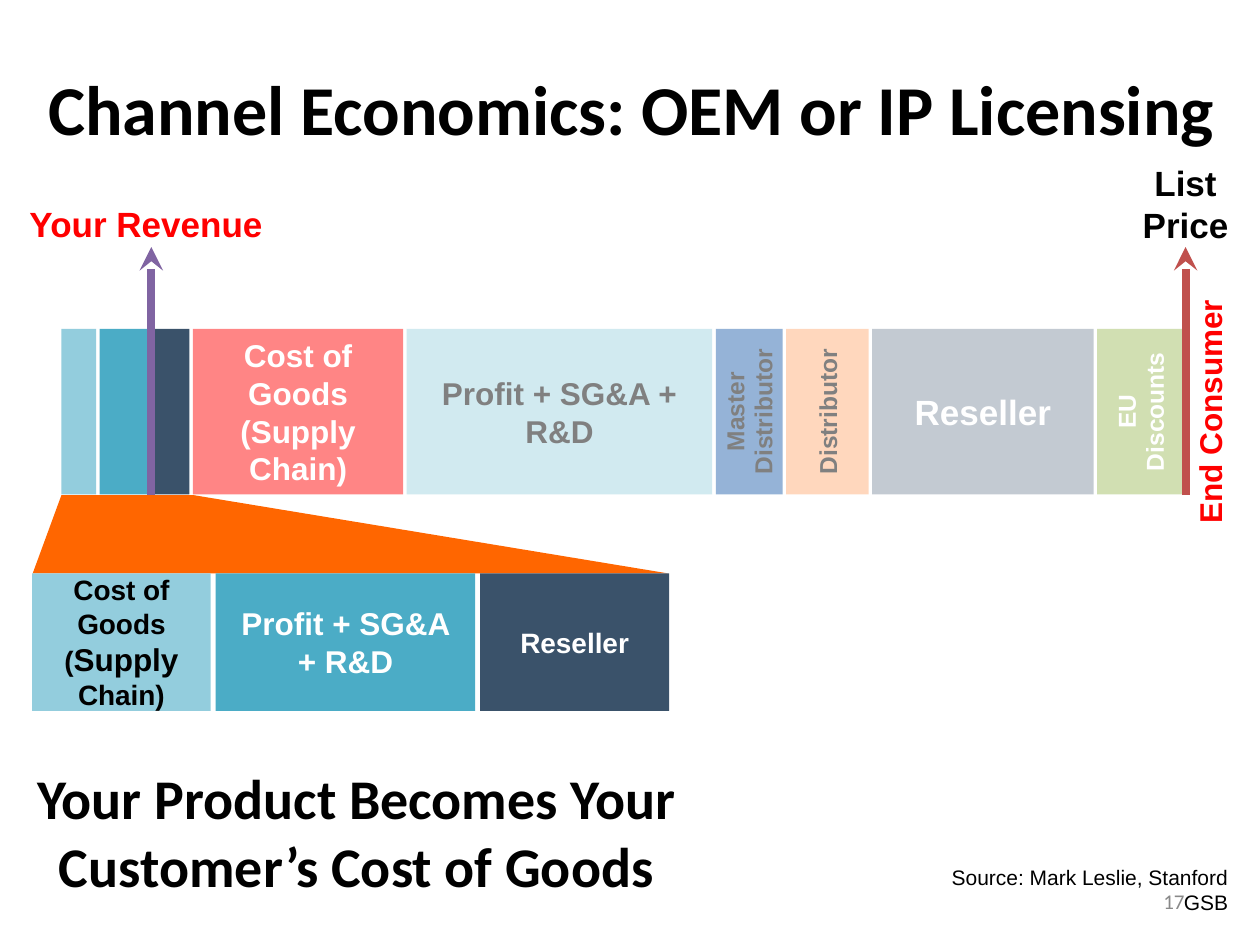
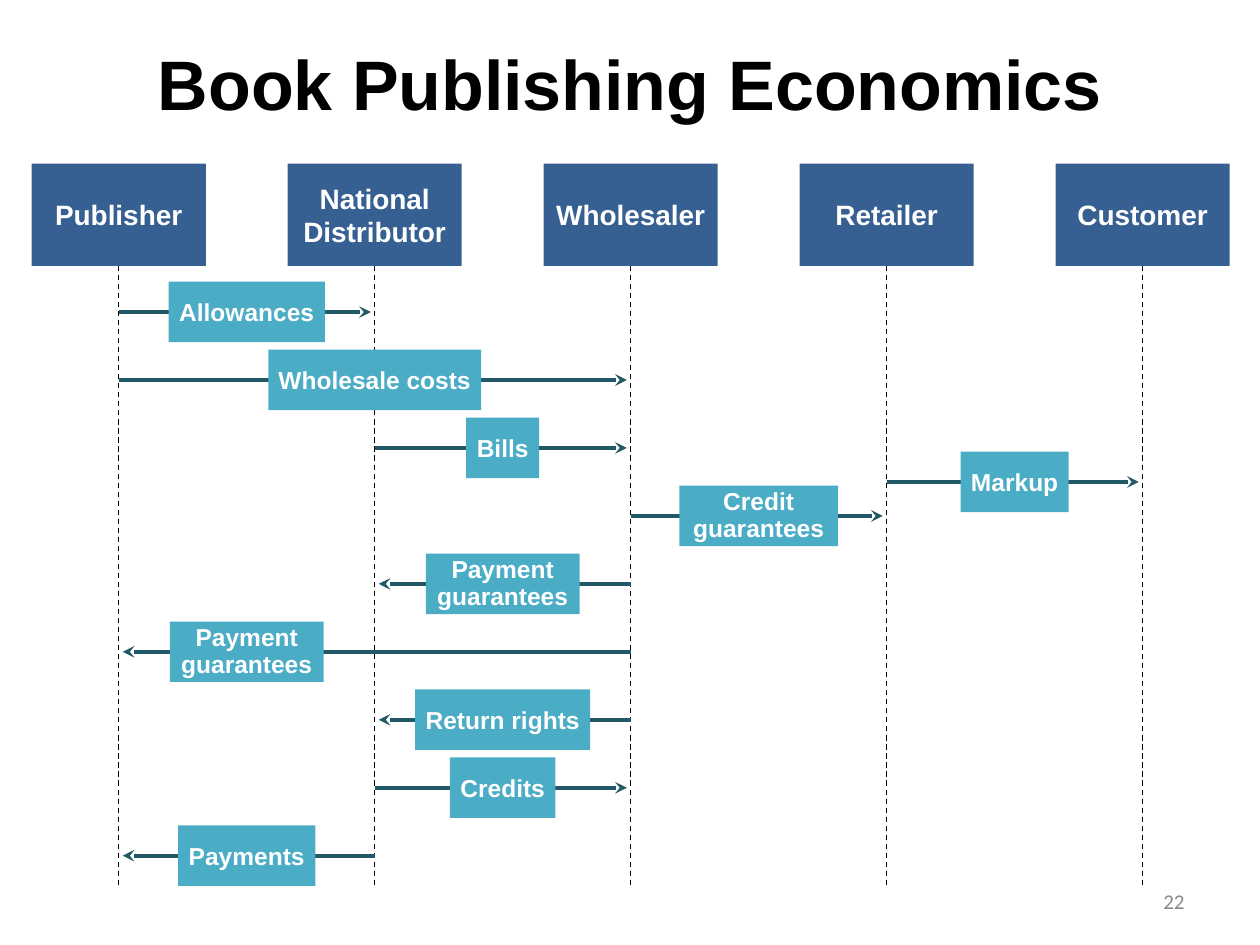
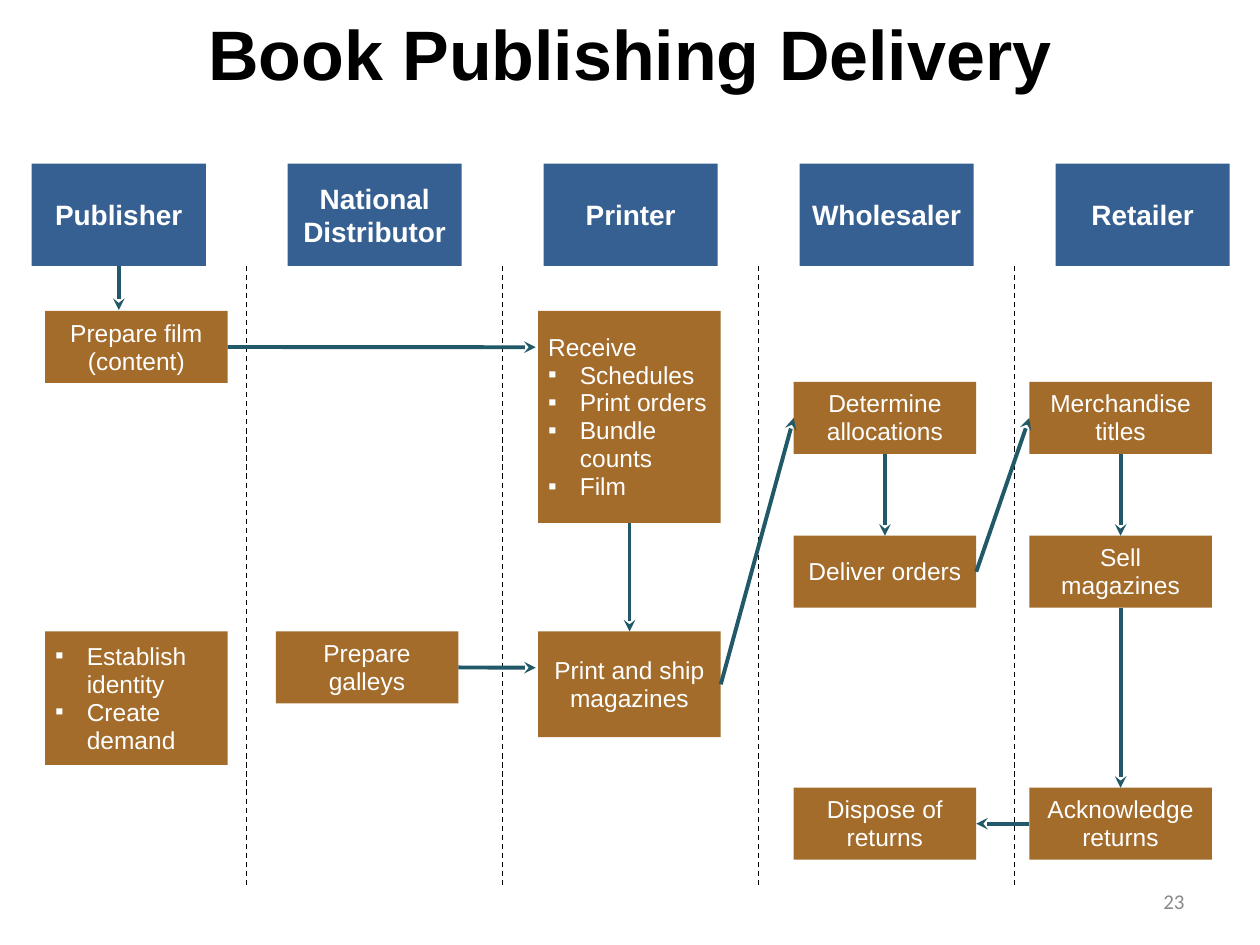
from lxml.etree import SubElement
from pptx import Presentation
from pptx.dml.color import RGBColor
from pptx.enum.dml import MSO_LINE
from pptx.enum.shapes import MSO_CONNECTOR, MSO_SHAPE
from pptx.enum.text import MSO_ANCHOR, PP_ALIGN
from pptx.oxml.ns import qn
from pptx.util import Cm, Pt

COLORS = {
    "black": "000000", "white": "FFFFFF", "red": "FF0000", "orange": "FF6600",
    "grey": "808080", "page": "898989", "navy": "3A526A", "teal": "4BACC6",
    "sky": "93CDDD", "steel": "95B3D7", "green": "9BBB59", "purple": "8064A2",
    "brick": "C0504D", "header": "376092", "arrow": "215968", "task": "A36C2B",
}
TOP, LEFT, BOTTOM, RIGHT = range(4)  # connection sites of a rectangle
NO_INSET = (0, 0, 0, 0)
WIDE_INSET = (0.25, 0.13, 0.25, 0.13)
BOX_INSET = (0.2, 0.13, 0.2, 0.13)

# Swimlane grid, in cm
LANE_LEFT, LANE_STEP, LANE_BOTTOM = 0.64, 5.16, 17.91
HEADER_TOP, HEADER_WIDTH, HEADER_HEIGHT = 3.3, 3.51, 2.06
HEADER_BOTTOM = HEADER_TOP + HEADER_HEIGHT


def rgb(name):
    return RGBColor.from_string(COLORS[name])


def lane_center(lane):
    return LANE_LEFT + HEADER_WIDTH / 2 + LANE_STEP * lane


def add_bullet(paragraph, char):
    """Hanging indent, with a bullet unless char is empty."""
    properties = paragraph._p.get_or_add_pPr()
    properties.set("marL", str(Cm(0.64)))
    properties.set("indent", str(-Cm(0.64)))
    if char:
        SubElement(properties, qn("a:buFont")).set("typeface", "Arial")
        SubElement(properties, qn("a:buChar")).set("char", char)


def write(shape, text, size=14, color="white", font="Arial", bold=True,
          align=PP_ALIGN.CENTER, anchor=MSO_ANCHOR.MIDDLE, inset=BOX_INSET,
          spacing=None, wrap=True, vertical=False, bullets_from=None):
    """Text is a string, a list of paragraphs, or a tuple of (words, size) runs."""
    frame = shape.text_frame
    frame.word_wrap = wrap
    frame.vertical_anchor = anchor
    (frame.margin_left, frame.margin_top,
     frame.margin_right, frame.margin_bottom) = map(Cm, inset)
    if vertical:
        frame._txBody.bodyPr.set("vert", "vert270")
    for index, content in enumerate(text if isinstance(text, list) else [text]):
        paragraph = frame.add_paragraph() if index else frame.paragraphs[0]
        paragraph.alignment = align
        if bullets_from is not None:
            add_bullet(paragraph, "▪" if index >= bullets_from else "")
        if spacing:
            paragraph.line_spacing = Pt(spacing)
        runs = content if isinstance(content, tuple) else ((content, size),)
        for words, run_size in runs:
            for row, line in enumerate(words.split("\n")):
                if row:
                    paragraph.add_line_break()
                run = paragraph.add_run()
                run.text = line
                run.font.name, run.font.size = font, Pt(run_size)
                run.font.bold, run.font.color.rgb = bold, rgb(color)


def add_text(slide, left, top, width, height, text, rotation=0, **style):
    box = slide.shapes.add_textbox(Cm(left), Cm(top), Cm(width), Cm(height))
    box.rotation = rotation
    write(box, text, **style)


def paint(shape, fill, opacity=100):
    shape.shadow.inherit = False
    shape.line.fill.background()
    shape.fill.solid()
    shape.fill.fore_color.rgb = rgb(fill)
    if opacity < 100:
        tint = shape._element.spPr.find(qn("a:solidFill"))[0]
        SubElement(tint, qn("a:alpha")).set("val", str(opacity * 1000))


def add_block(slide, left, top, width, height, fill, text="", opacity=100, **style):
    block = slide.shapes.add_shape(
        MSO_SHAPE.RECTANGLE, Cm(left), Cm(top), Cm(width), Cm(height))
    paint(block, fill, opacity)
    if text:
        write(block, text, **style)
    return block


def add_line(slide, start, end, color="arrow", width=2.25, arrow=True, dashed=False):
    """Each end is an (x, y) point in cm or a (shape, site) pair."""
    line = slide.shapes.add_connector(MSO_CONNECTOR.STRAIGHT, 0, 0, 0, 0)
    if isinstance(start[0], (int, float)):
        line.begin_x, line.begin_y = map(Cm, start)
    else:
        line.begin_connect(*start)
    if isinstance(end[0], (int, float)):
        line.end_x, line.end_y = map(Cm, end)
    else:
        line.end_connect(*end)
    line.line.color.rgb = rgb(color)
    line.line.width = Pt(width)
    if dashed:
        line.line.dash_style = MSO_LINE.DASH
    if arrow:
        SubElement(line.line._get_or_add_ln(), qn("a:tailEnd")).set("type", "stealth")
    SubElement(line._element.spPr, qn("a:effectLst"))


def add_bar(slide, left, top, height, gap, segments):
    """Blocks side by side, each given as width, fill, text and format."""
    for width, fill, text, style in segments:
        add_block(slide, left, top, width, height, fill, text,
                  inset=WIDE_INSET, **style)
        left += width + gap


def add_lane_line(slide, start, x):
    add_line(slide, start, (x, LANE_BOTTOM), "black", 0.75, arrow=False, dashed=True)


def add_headers(slide, names):
    return [add_block(slide, LANE_LEFT + LANE_STEP * lane, HEADER_TOP, HEADER_WIDTH,
                      HEADER_HEIGHT, "header", name, size=16)
            for lane, name in enumerate(names)]


def add_flow(slide, row, source, target, label, width, label_lane=None):
    """Arrow from lane to lane with a label, halfway unless label_lane is given."""
    y = 6.29 + 1.37 * row
    tip_gap = 0.08 if target > source else -0.08
    add_line(slide, (lane_center(source), y), (lane_center(target) - tip_gap, y))
    if label_lane is None:
        label_lane = (source + target) / 2
    add_block(slide, lane_center(label_lane) - width / 2, y - 0.61, width, 1.22, "teal",
              label, wrap=False, spacing=15 if "\n" in label else None)


def add_task(slide, left, top, text, height=1.45, **style):
    return add_block(slide, left, top, 3.68, height, "task", text, bold=False,
                     spacing=16, **style)


def start_slide(deck, title, number, left=1.27, top=0.58, width=22.86, height=2.16,
                font="Arial"):
    slide = deck.slides.add_slide(deck.slide_layouts[6])
    add_text(slide, left, top, width, height, title, size=40, color="black",
             font=font, inset=WIDE_INSET)
    add_text(slide, 18.21, 17.65, 5.92, 1.02, number, size=12, color="page",
             font="Calibri", bold=False, align=PP_ALIGN.RIGHT, inset=WIDE_INSET)
    return slide


def build_channel(deck):
    slide = start_slide(deck, "Channel Economics: OEM or IP Licensing", "17",
                        left=0.66, width=24.13, height=3.18, font="Calibri")

    # Wedge that opens your part of the price
    wedge = slide.shapes.build_freeform(Cm(1.24), Cm(9.98))
    wedge.add_line_segments(
        [(Cm(x), Cm(y)) for x, y in [(0.66, 11.56), (13.47, 11.56), (3.89, 9.98)]])
    paint(wedge.convert_to_shape(), "orange")

    # Your own part, enlarged
    cost_of_goods = (("Cost of Goods\n(", 16), ("Supply", 18), (" Chain)", 16))
    add_bar(slide, 0.65, 11.56, 2.77, 0.1, [
        (3.6, "sky", cost_of_goods, {"color": "black"}),
        (5.23, "teal", "Profit + SG&A + R&D", {"size": 18}),
        (3.81, "navy", "Reseller", {"size": 16}),
    ])

    # The whole list price
    upright = {"vertical": True}
    add_bar(slide, 1.24, 6.63, 3.34, 0.07, [
        (0.7, "sky", "", {}),
        (1.02, "teal", "", {}),
        (0.72, "navy", "", {}),
        (4.24, "red", "Cost of Goods\n(Supply Chain)", {"size": 18, "opacity": 48}),
        (6.16, "teal", "Profit + SG&A + R&D",
         {"size": 18, "opacity": 25, "color": "grey"}),
        (1.35, "steel", "Master Distributor",
         {"color": "grey", "spacing": 16, **upright}),
        (1.66, "orange", "Distributor", {"opacity": 26, "color": "grey", **upright}),
        (4.47, "navy", "Reseller", {"size": 20, "opacity": 30}),
        (1.76, "green", "EU Discounts", {"opacity": 46, "spacing": 16, **upright}),
    ])

    # Price markers
    for x, color in [(3.05, "purple"), (23.9, "brick")]:
        add_line(slide, (x, 9.98), (x, 4.98), color, 4.5)
    note = {"inset": NO_INSET, "anchor": MSO_ANCHOR.TOP}
    add_text(slide, 0, 4.09, 5.89, 0.86, "Your Revenue", size=20, color="red", **note)
    add_text(slide, 22.86, 3.25, 2.08, 1.7, "List\nPrice", size=20, color="black", **note)
    add_text(slide, 21.51, 7.92, 5.74, 0.76, "End Consumer", rotation=270, size=18,
             color="red", **note)

    # Conclusion and source
    add_text(slide, 0, 15.27, 14.38, 1.7,
             "Your Product Becomes Your Customer’s Cost of Goods", size=32,
             color="black", font="Calibri", anchor=MSO_ANCHOR.TOP, inset=WIDE_INSET)
    add_text(slide, 16.89, 17.42, 7.87, 0.51, "Source: Mark Leslie, Stanford GSB",
             size=12, color="black", bold=False, align=PP_ALIGN.RIGHT,
             anchor=MSO_ANCHOR.TOP, inset=(1.6, 0, 0, 0))


def build_economics(deck):
    slide = start_slide(deck, "Book Publishing Economics", "22")
    headers = add_headers(slide, ["Publisher", "National Distributor", "Wholesaler",
                                  "Retailer", "Customer"])
    for lane, header in enumerate(headers):
        add_lane_line(slide, (header, BOTTOM), lane_center(lane))

    # Row, source lane, target lane, label, label width
    for flow in [
        (0, 0, 1, "Allowances", 3.15),
        (1, 0, 2, "Wholesale costs", 4.29),
        (2, 1, 2, "Bills", 1.47),
        (2.5, 3, 4, "Markup", 2.18),
        (3, 2, 3, "Credit\nguarantees", 3.2),
        (4, 2, 1, "Payment\nguarantees", 3.1),
        (5, 2, 0, "Payment\nguarantees", 3.1, 0.5),
        (6, 2, 1, "Return rights", 3.53),
        (7, 1, 2, "Credits", 2.13),
        (8, 1, 0, "Payments", 2.77),
    ]:
        add_flow(slide, *flow)


def build_delivery(deck):
    slide = start_slide(deck, "Book Publishing Delivery", "23", top=0, height=2.11)
    headers = add_headers(slide, ["Publisher", "National Distributor", "Printer",
                                  "Wholesaler", "Retailer"])
    for lane in range(len(headers) - 1):
        x = lane_center(lane + 0.5)
        add_lane_line(slide, (x, HEADER_BOTTOM), x)

    # Tasks, by column
    publisher, distributor, printer, wholesaler, retailer = 0.91, 5.56, 10.85, 16, 20.75
    listed = {"align": PP_ALIGN.LEFT}
    film = add_task(slide, publisher, 6.27, "Prepare film (content)")
    add_task(slide, publisher, 12.73, ["Establish identity", "Create demand"], 2.69,
             bullets_from=0, **listed)
    galleys = add_task(slide, distributor, 12.73, "Prepare galleys")
    receive = add_task(
        slide, printer, 6.27,
        ["Receive", "Schedules", "Print orders", "Bundle counts", "Film"], 4.27,
        bullets_from=1, **listed)
    ship = add_task(slide, printer, 12.73, "Print and ship magazines", 2.13)
    allocate = add_task(slide, wholesaler, 7.7, "Determine allocations")
    deliver = add_task(slide, wholesaler, 10.8, "Deliver orders")
    dispose = add_task(slide, wholesaler, 15.88, "Dispose of returns")
    merchandise = add_task(slide, retailer, 7.7, "Merchandise titles")
    sell = add_task(slide, retailer, 10.8, "Sell magazines")
    acknowledge = add_task(slide, retailer, 15.88, "Acknowledge returns")

    # Arrows between tasks
    for start, end in [
        ((headers[0], BOTTOM), (lane_center(0), 6.25)),
        ((film, RIGHT), (10.8, 7)),
        ((receive, BOTTOM), (ship, TOP)),
        ((galleys, RIGHT), (10.8, 13.46)),
        ((ship, RIGHT), (allocate, LEFT)),
        ((allocate, BOTTOM), (deliver, TOP)),
        ((deliver, RIGHT), (merchandise, LEFT)),
        ((merchandise, BOTTOM), (sell, TOP)),
        ((sell, BOTTOM), (acknowledge, TOP)),
        ((acknowledge, LEFT), (dispose, RIGHT)),
    ]:
        add_line(slide, start, end)


def main():
    deck = Presentation()
    deck.slide_width, deck.slide_height = Cm(25.4), Cm(19.05)
    build_channel(deck)
    build_economics(deck)
    build_delivery(deck)
    deck.save("out.pptx")


if __name__ == "__main__":
    main()
